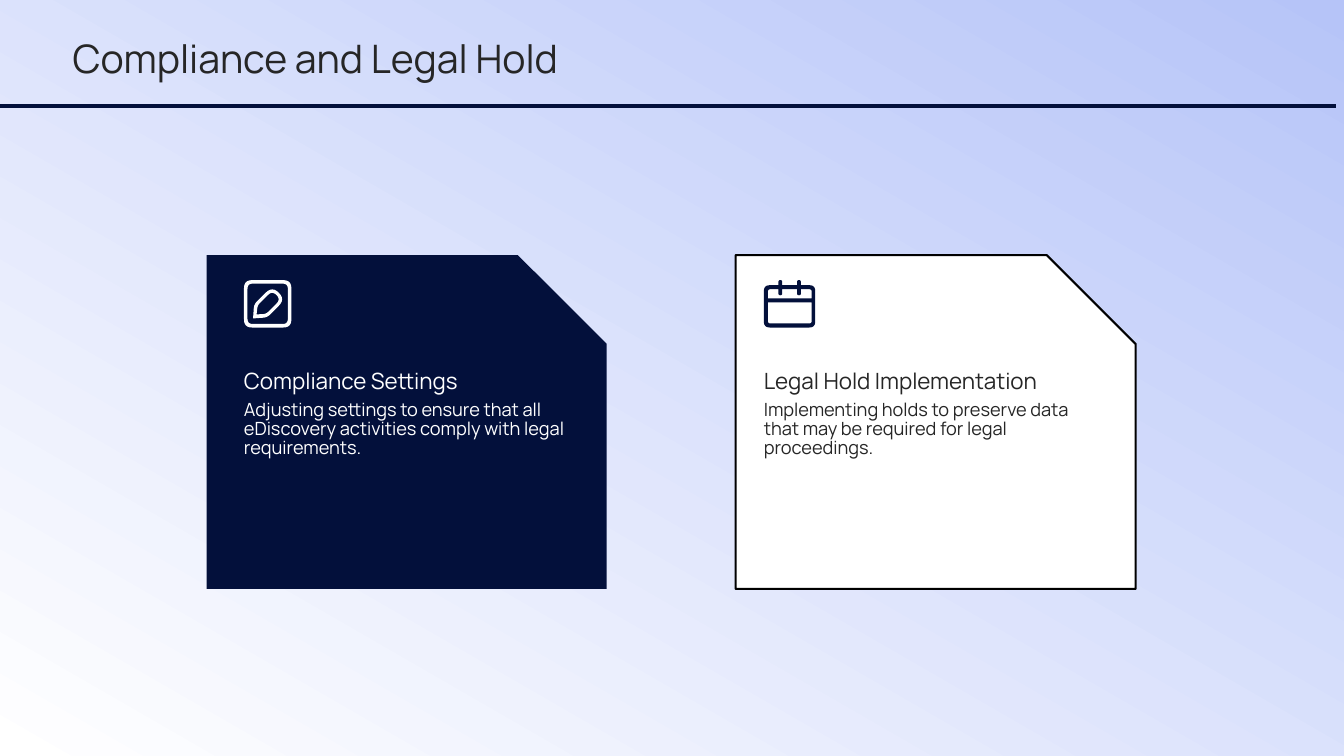
from pptx import Presentation
from pptx.dml.color import RGBColor
from pptx.enum import shapes, text
from pptx.oxml import ns
from pptx.util import Cm, Pt
from lxml import etree

NAVY = RGBColor(0x03, 0x10, 0x3B)
WHITE = RGBColor(0xFF, 0xFF, 0xFF)
BLACK = RGBColor(0, 0, 0)
INK = RGBColor(0x26, 0x26, 0x26)
SKY = RGBColor(0xAA, 0xBD, 0xFB)
PERIWINKLE = RGBColor(0xB6, 0xC4, 0xF8)

FONT = "Manrope"
ICON_UNIT = 0.0254
CURVE_STEPS = 6

PENCIL_ICON = [
    [(0, 0, 8), (47, 0, 8), (47, 47, 8), (0, 47, 8)],
    [(3.5, 3.5, 5), (43.5, 3.5, 5), (43.5, 43.5, 5), (3.5, 43.5, 5)],
    [(9, 38, 0), (10, 24, 4), (28, 6, 9), (41, 19, 9), (23, 37, 4)],
    [(12.5, 34, 0), (13.5, 25, 3), (28, 10.5, 6), (36.5, 19, 6), (22, 33.5, 3)],
]
CALENDAR_ICON = [
    [(0, 5, 6), (14.5, 5, 0), (14.5, 0, 1.8), (18.2, 0, 1.8), (18.2, 5, 0),
     (33, 5, 0), (33, 0, 1.8), (36.7, 0, 1.8), (36.7, 5, 0),
     (51, 5, 6), (51, 47, 6), (0, 47, 6)],
    [(4, 22, 0), (47.5, 22, 0), (47.5, 43, 2.5), (4, 43, 2.5)],
    [(4, 18, 0), (4, 9, 2.5), (14.5, 9, 0), (14.5, 15, 1.8), (18.2, 15, 1.8),
     (18.2, 9, 0), (33, 9, 0), (33, 15, 1.8), (36.7, 15, 1.8), (36.7, 9, 0),
     (47.5, 9, 2.5), (47.5, 18, 0)],
]


def paint_gradient(fill, start, end, angle):
    fill.gradient()
    fill.gradient_angle = angle
    for stop, color in zip(fill.gradient_stops, (start, end)):
        stop.color.rgb = color


def paint_solid(shape, color, outline=None):
    shape.shadow.inherit = False
    shape.fill.solid()
    shape.fill.fore_color.rgb = color
    if outline is None:
        shape.line.fill.background()
    else:
        shape.line.color.rgb = outline
        shape.line.width = Pt(1.5)


def toward(start, end, distance):
    dx, dy = end[0] - start[0], end[1] - start[1]
    share = distance / (dx * dx + dy * dy) ** 0.5
    return start[0] + dx * share, start[1] + dy * share


def rounded_outline(corners):
    points = []
    for i, corner in enumerate(corners):
        x, y, radius = corner
        if not radius:
            points.append((x, y))
            continue
        entry = toward(corner, corners[i - 1], radius)
        leave = toward(corner, corners[(i + 1) % len(corners)], radius)
        for step in range(CURVE_STEPS + 1):
            t = step / CURVE_STEPS
            points.append(tuple(
                (1 - t) ** 2 * a + 2 * t * (1 - t) * b + t * t * c
                for a, b, c in zip(entry, (x, y), leave)))
    return [(Cm(x * ICON_UNIT), Cm(y * ICON_UNIT)) for x, y in points]


def add_icon(slide, left, top, contours, color):
    outlines = [rounded_outline(corners) for corners in contours]
    builder = slide.shapes.build_freeform(*outlines[0][0])
    builder.add_line_segments(outlines[0][1:], close=True)
    for outline in outlines[1:]:
        builder.move_to(*outline[0])
        builder.add_line_segments(outline[1:], close=True)
    paint_solid(builder.convert_to_shape(Cm(left), Cm(top)), color)


def add_label(slide, left, top, width, height, words, size, color, anchor):
    label = slide.shapes.add_textbox(Cm(left), Cm(top), Cm(width), Cm(height))
    frame = label.text_frame
    frame.word_wrap = True
    frame.vertical_anchor = anchor
    frame.margin_left = frame.margin_right = Cm(0)
    frame.margin_top = frame.margin_bottom = Cm(0)
    paragraph = frame.paragraphs[0]
    paragraph.line_spacing = 0.87
    run = paragraph.add_run()
    run.text = words
    run.font.name = FONT
    run.font.size = Pt(size)
    run.font.color.rgb = color


def add_card(slide, left, text_left, icon, heading, detail, fill, outline, ink, icon_color):
    card = slide.shapes.add_shape(
        shapes.MSO_SHAPE.SNIP_1_RECTANGLE, Cm(left), Cm(6.43), Cm(10.08), Cm(8.41))
    card.adjustments[0] = 0.266
    paint_solid(card, fill, outline)
    add_icon(slide, text_left, 7.06, icon, icon_color)
    add_label(slide, text_left, 8.26, 8.64, 1.68, heading, 16, ink,
              text.MSO_ANCHOR.BOTTOM)
    add_label(slide, text_left, 10.11, 8.64, 4.17, detail, 13, ink,
              text.MSO_ANCHOR.TOP)


def add_rule(slide, top, right):
    rule = slide.shapes.add_connector(
        shapes.MSO_CONNECTOR.STRAIGHT, Cm(0), Cm(top), Cm(right), Cm(top))
    rule.line.color.rgb = NAVY
    rule.line.width = Pt(2.25)
    etree.SubElement(rule._element.spPr, ns.qn("a:effectLst"))


def main():
    deck = Presentation()
    deck.slide_width, deck.slide_height = Cm(33.87), Cm(19.05)
    slide = deck.slides.add_slide(deck.slide_layouts[6])
    paint_gradient(slide.background.fill, SKY, WHITE, 300)
    backdrop = slide.shapes.add_shape(
        shapes.MSO_SHAPE.RECTANGLE, Cm(0), Cm(0), deck.slide_width, deck.slide_height)
    backdrop.shadow.inherit = False
    backdrop.line.fill.background()
    paint_gradient(backdrop.fill, PERIWINKLE, WHITE, 240)

    add_card(slide, 18.54, 19.25, CALENDAR_ICON, "Legal Hold Implementation",
             "Implementing holds to preserve data that may be required for legal proceedings.",
             WHITE, BLACK, INK, NAVY)
    add_card(slide, 5.21, 6.15, PENCIL_ICON, "Compliance Settings",
             "Adjusting settings to ensure that all eDiscovery activities comply with legal requirements.",
             NAVY, None, WHITE, WHITE)
    add_label(slide, 1.83, 0.89, 29.64, 1.3, "Compliance and Legal Hold", 28, INK,
              text.MSO_ANCHOR.MIDDLE)
    add_rule(slide, 2.67, 33.68)
    deck.save("out.pptx")


if __name__ == "__main__":
    main()
